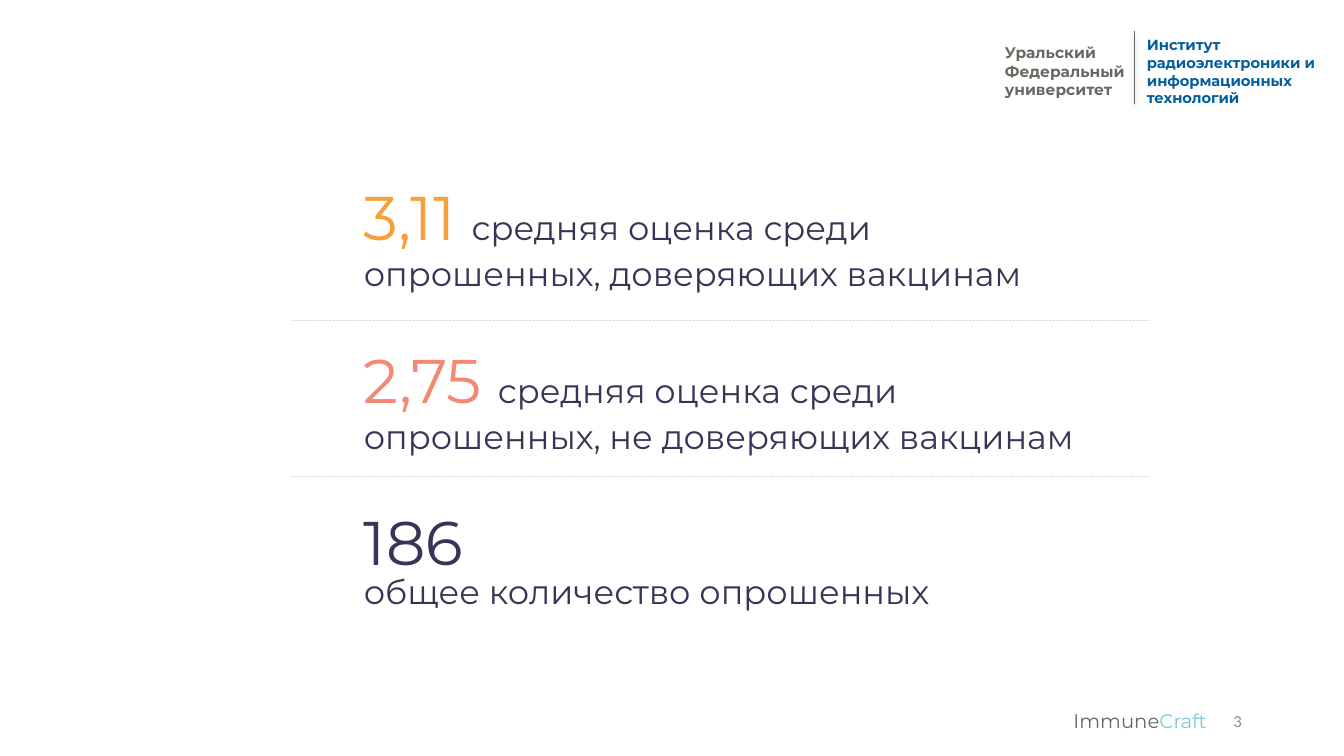
from dataclasses import dataclass

from lxml import etree
from pptx import Presentation
from pptx.dml.color import RGBColor
from pptx.enum.dml import MSO_LINE
from pptx.enum.shapes import MSO_CONNECTOR
from pptx.enum.text import MSO_ANCHOR, PP_ALIGN
from pptx.oxml.ns import qn
from pptx.util import Inches, Pt

TOP, MIDDLE = MSO_ANCHOR.TOP, MSO_ANCHOR.MIDDLE
LEFT, RIGHT = PP_ALIGN.LEFT, PP_ALIGN.RIGHT
STRAIGHT = MSO_CONNECTOR.STRAIGHT
DOTTED = MSO_LINE.ROUND_DOT


@dataclass(frozen=True)
class Theme:
    font: str = "Montserrat"
    number_font: str = "Calibri"
    ink: str = "393457"
    orange: str = "F89F37"
    coral: str = "F18975"
    grey: str = "6A6761"
    blue: str = "025E9C"
    aqua: str = "7EC8DA"
    pale: str = "D9D9D9"
    page: str = "8C8C8C"
    figure: float = 44
    caption: float = 24
    footer: float = 14
    page_size: float = 12
    university: float = 11
    institute: float = 10.5


theme = Theme()
prs = Presentation()
prs.slide_width, prs.slide_height = Inches(13.33), Inches(7.5)
slide = prs.slides.add_slide(prs.slide_layouts[6])

# All lengths are percentages of the slide's width and height
X, Y = prs.slide_width / 100, prs.slide_height / 100


def add_text(paragraphs, left, top, width, height, font=theme.font, bold=False,
             wrap=True, anchor=TOP, align=LEFT, spacing=None):
    """Each paragraph is a list of (text, size, colour) runs."""
    box = slide.shapes.add_textbox(int(left * X), int(top * Y),
                                   int(width * X), int(height * Y))
    frame = box.text_frame
    frame.word_wrap, frame.vertical_anchor = wrap, anchor
    for index, runs in enumerate(paragraphs):
        paragraph = frame.add_paragraph() if index else frame.paragraphs[0]
        paragraph.alignment, paragraph.line_spacing = align, spacing
        for text, size, colour in runs:
            run = paragraph.add_run()
            run.text = text
            run.font.name, run.font.size, run.font.bold = font, Pt(size), bold
            run.font.color.rgb = RGBColor.from_string(colour)


def add_rule(x1, y1, x2, y2, colour, dash=None):
    """Draws a thin line and returns its empty effect list."""
    rule = slide.shapes.add_connector(STRAIGHT, int(x1 * X), int(y1 * Y),
                                      int(x2 * X), int(y2 * Y))
    rule.line.width = Pt(0.5)
    rule.line.color.rgb = RGBColor.from_string(colour)
    rule.line.dash_style = dash
    return etree.SubElement(rule._element.spPr, qn("a:effectLst"))


# Header: university and institute, parted by a line with a soft shadow
add_text([[("Уральский Федеральный университет", theme.university, theme.grey)]],
         74.03, 5.07, 11.48, 8.8, bold=True)
effects = add_rule(84.38, 4.13, 84.38, 13.73, theme.grey)
shadow = etree.SubElement(effects, qn("a:outerShdw"), blurRad=str(Pt(4)),
                          dist=str(Pt(3)), dir="5400000", rotWithShape="0")
shade = etree.SubElement(shadow, qn("a:srgbClr"), val="000000")
etree.SubElement(shade, qn("a:alpha"), val="40000")
add_text([[("Институт радиоэлектроники и информационных технологий",
            theme.institute, theme.blue)]],
         84.6, 4.13, 16.13, 10.8, bold=True)

# Survey results, one per row
stat_left, first_row, row_pitch = 26.33, 23.07, 21.47
average = ("средняя оценка среди", theme.caption, theme.ink)
results = [
    ([[("3,11 ", theme.figure, theme.orange), average],
      [("опрошенных, доверяющих вакцинам", theme.caption, theme.ink)]], 51.6, 16.67),
    ([[("2,75 ", theme.figure, theme.coral), average],
      [("опрошенных, не доверяющих вакцинам", theme.caption, theme.ink)]], 55.65, 16.67),
    ([[("186", theme.figure, theme.ink)]], 9.08, 11.2),
]
for row, (result, width, height) in enumerate(results):
    add_text(result, stat_left, first_row + row * row_pitch, width, height, wrap=False)
add_text([[("общее количество опрошенных", theme.caption, theme.ink)]],
         stat_left, 74.8, 49.35, 6.67)

# Dotted dividers between the rows
for divider_y in (42.4, 63.07):
    add_rule(21.68, divider_y, 85.5, divider_y, theme.pale, dash=DOTTED)

# Footer: project name and page number
add_text([[("Immune", theme.footer, theme.grey), ("Craft", theme.footer, theme.aqua)]],
         79.13, 92.8, 12.83, 5.33, anchor=MIDDLE, spacing=0.9)
add_text([[("3", theme.page_size, theme.page)]], 70.65, 92.67, 22.5, 5.33,
         font=theme.number_font, anchor=MIDDLE, align=RIGHT)

prs.save("out.pptx")
